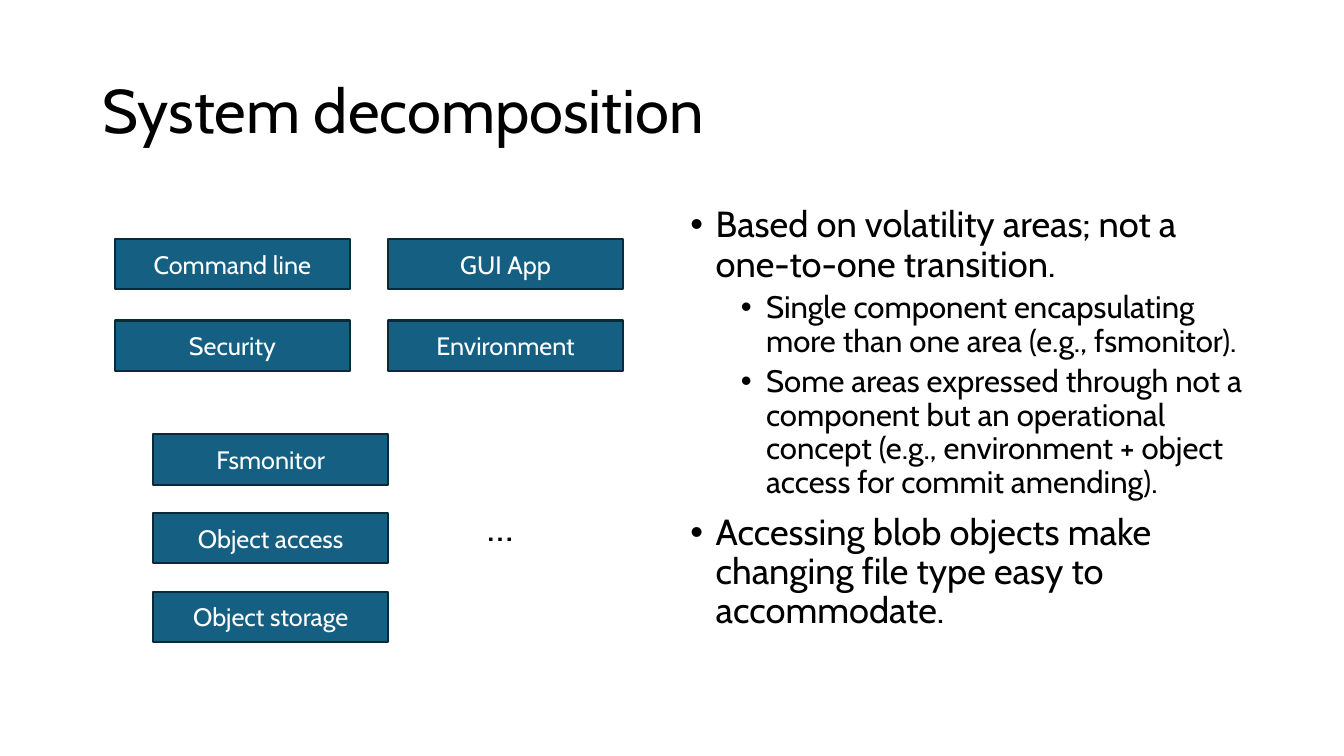
from lxml import etree
from pptx import Presentation
from pptx import util as u
from pptx.dml.color import RGBColor
from pptx.enum import shapes, text
from pptx.oxml.ns import qn

COLORS = {"text": "000000", "box": "156082", "border": "092A39", "label": "FFFFFF"}
BOX_SIZE = (2.33, 0.5)
INTERFACE_ROWS = [("Command line", "GUI App"), ("Security", "Environment")]
STORAGE_STACK = ["Fsmonitor", "Object access", "Object storage"]
POINTS = [
    (0, "Based on volatility areas; not a one-to-one transition."),
    (1, "Single component encapsulating more than one area (e.g., fsmonitor)."),
    (1, "Some areas expressed through not a component but an operational concept "
        "(e.g., environment + object access for commit amending)."),
    (0, "Accessing blob objects make changing file type easy to accommodate."),
]
LEVELS = [
    {"size": 25.9, "indent": 0.25, "space_before": 10},
    {"size": 22.2, "indent": 0.75, "space_before": 5},
]


class SlideBuilder:
    font_name = "Cabin"

    def __init__(self, slide):
        self.slide = slide

    def fill_paragraph(self, paragraph, wording, size, color="text", **formats):
        run = paragraph.add_run()
        run.text = wording
        run.font.name = self.font_name
        run.font.size = u.Pt(size)
        run.font.color.rgb = RGBColor.from_string(COLORS[color])
        for name, value in formats.items():
            setattr(paragraph, name, value)

    def text_frame(self, area, anchor=text.MSO_ANCHOR.TOP):
        """Add a wrapping text box and return its frame."""
        frame = self.slide.shapes.add_textbox(*map(u.Inches, area)).text_frame
        frame.word_wrap = True
        frame.vertical_anchor = anchor
        return frame

    def title(self, wording, area):
        frame = self.text_frame(area, text.MSO_ANCHOR.MIDDLE)
        self.fill_paragraph(frame.paragraphs[0], wording, 44, line_spacing=0.9)

    def note(self, wording, area):
        self.fill_paragraph(self.text_frame(area).paragraphs[0], wording, 28)

    def bullets(self, points, area):
        frame = self.text_frame(area)
        for index, (level, wording) in enumerate(points):
            paragraph = frame.add_paragraph() if index else frame.paragraphs[0]
            style = LEVELS[level]
            self.fill_paragraph(paragraph, wording, style["size"], level=level,
                                line_spacing=0.9,
                                space_before=u.Pt(style["space_before"]))
            properties = paragraph._p.get_or_add_pPr()
            properties.set("marL", str(u.Inches(style["indent"])))
            properties.set("indent", str(u.Inches(-0.25)))
            etree.SubElement(properties, qn("a:buFont"), typeface="Arial")
            etree.SubElement(properties, qn("a:buChar"), char="•")

    def box(self, wording, left, top):
        shape = self.slide.shapes.add_shape(
            shapes.MSO_SHAPE.RECTANGLE, *map(u.Inches, (left, top, *BOX_SIZE)))
        shape.shadow.inherit = False
        shape.fill.solid()
        shape.fill.fore_color.rgb = RGBColor.from_string(COLORS["box"])
        shape.line.color.rgb = RGBColor.from_string(COLORS["border"])
        shape.line.width = u.Pt(1.5)
        shape.text_frame.vertical_anchor = text.MSO_ANCHOR.MIDDLE
        self.fill_paragraph(shape.text_frame.paragraphs[0], wording, 18, "label",
                            alignment=text.PP_ALIGN.CENTER)


def main():
    presentation = Presentation()
    presentation.slide_width = u.Inches(13.33)
    presentation.slide_height = u.Inches(7.5)
    builder = SlideBuilder(presentation.slides.add_slide(presentation.slide_layouts[6]))

    builder.title("System decomposition", (0.92, 0.4, 11.5, 1.45))
    builder.bullets(POINTS, (6.75, 2, 5.67, 4.76))
    for row, names in enumerate(INTERFACE_ROWS):
        for column, name in enumerate(names):
            builder.box(name, 1.14 + 2.71 * column, 2.37 + 0.81 * row)
    for row, name in enumerate(STORAGE_STACK):
        builder.box(name, 1.52, 4.31 + 0.78 * row)
    builder.note("…", (4.73, 4.93, 2.91, 0.57))

    presentation.save("out.pptx")


if __name__ == "__main__":
    main()
